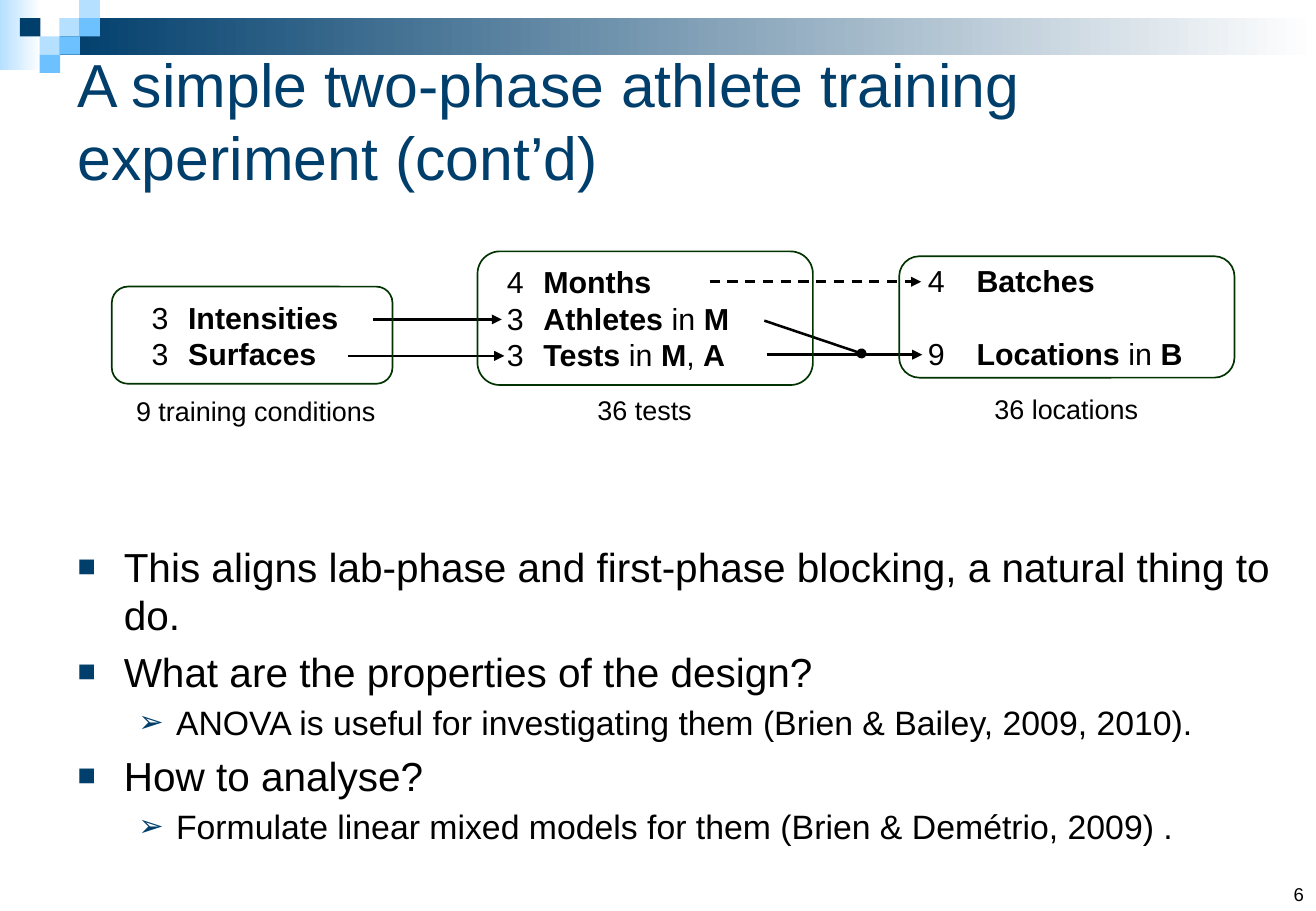
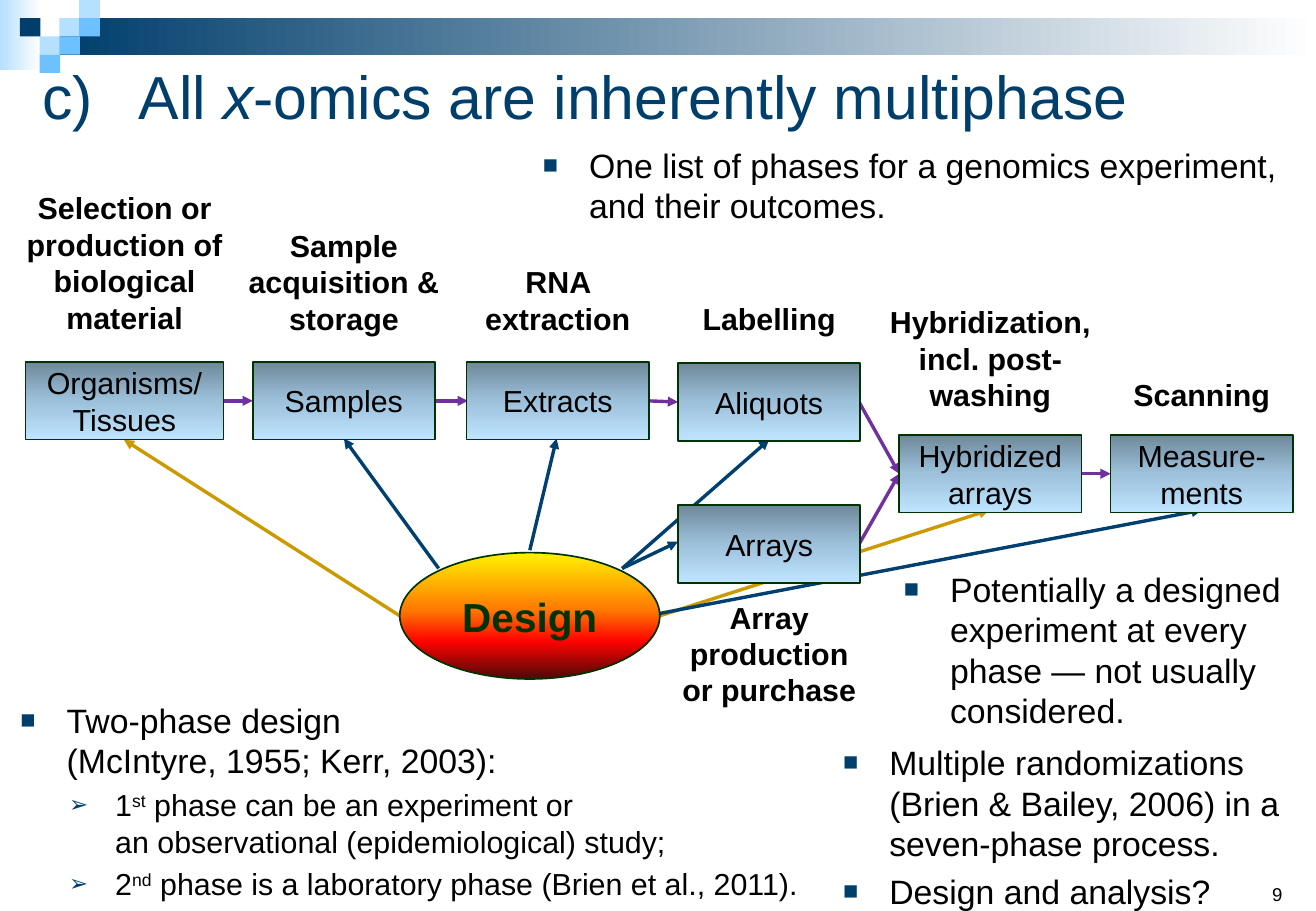
from lxml.etree import SubElement
from pptx import Presentation
from pptx.dml.color import RGBColor
from pptx.enum.dml import MSO_LINE
from pptx.enum.shapes import MSO_CONNECTOR, MSO_SHAPE
from pptx.enum.text import MSO_ANCHOR, MSO_AUTO_SIZE, PP_ALIGN
from pptx.oxml.ns import qn
from pptx.util import Inches, Pt

rgb = RGBColor.from_string
FONT = "Arial"
BLACK, NAVY, GREEN = "000000", "003E6C", "003300"
PALE, SKY, WHITE = "B6E0FF", "6DC1FF", "FFFFFF"
PURPLE, GOLD, BLUE = "7030A0", "CC9900", "004070"
LEFT, CENTER, RIGHT = PP_ALIGN.LEFT, PP_ALIGN.CENTER, PP_ALIGN.RIGHT
TOP, MIDDLE, BOTTOM = MSO_ANCHOR.TOP, MSO_ANCHOR.MIDDLE, MSO_ANCHOR.BOTTOM


def add_panel(page, kind, place, fill=None, angle=270, outline=None):
    """Draw a preset shape; fill is a colour or a list of gradient stops."""
    panel = page.shapes.add_shape(kind, *map(Inches, place))
    panel.shadow.inherit = False
    if fill is None:
        panel.fill.background()
    elif isinstance(fill, str):
        panel.fill.solid()
        panel.fill.fore_color.rgb = rgb(fill)
    else:
        panel.fill.gradient()
        panel.fill.gradient_angle = angle
        stops = next(panel.element.spPr.iter(qn("a:gsLst")))
        for stop in list(stops):
            stops.remove(stop)
        for position, colour in fill:
            stop = SubElement(stops, qn("a:gs"), pos=str(position * 1000))
            SubElement(stop, qn("a:srgbClr"), val=colour)
    if outline:
        panel.line.color.rgb = rgb(outline)
        panel.line.width = Pt(1)
    else:
        panel.line.fill.background()
    return panel


def write(shape, lines, size, colour=BLACK, align=LEFT, anchor=TOP,
          bold=False, emphasis="bold", margin=0, hanging=0):
    """Fill a shape with paragraphs; every second part between bars is emphasised."""
    frame = shape.text_frame
    frame.word_wrap = True
    frame.auto_size = MSO_AUTO_SIZE.NONE
    frame.vertical_anchor = anchor
    for index, line in enumerate(lines):
        para = frame.add_paragraph() if index else frame.paragraphs[0]
        para.alignment = align
        settings = para._p.get_or_add_pPr()
        settings.set("marL", str(Inches(margin)))
        settings.set("indent", str(-Inches(hanging)))
        for part_index, part in enumerate(line.split("|")):
            for row_index, row in enumerate(part.split("\v")):
                if row_index:
                    para.add_line_break()
                span = para.add_run()
                span.text = row
                span.font.name = FONT
                span.font.size = Pt(size)
                span.font.color.rgb = rgb(colour)
                span.font.bold = bold
                if part_index % 2 and emphasis == "superscript":
                    span.font._element.set("baseline", "30000")
                elif part_index % 2:
                    setattr(span.font, emphasis, True)
    return frame


deck = Presentation()
deck.slide_width, deck.slide_height = Inches(10.83), Inches(7.5)

# Title, header band and page number
band_parts = [
    ((0, 0, 0.34, 0.58), [(0, PALE), (100, WHITE)]),
    ((0.49, 0.15, 10.34, 0.3), [(0, NAVY), (100, WHITE)]),
]
squares = [(3, 1, PALE), (4, 0, PALE), (4, 1, SKY), (2, 2, PALE),
           (1, 1, NAVY), (3, 2, SKY), (2, 3, SKY)]
for column, row, colour in squares:
    band_parts.append(((0.163 * column, 0.15 * row, 0.17, 0.15), colour))

headings = [
    ("A simple two-phase athlete training experiment (cont’d)",
     (0.54, 0.44, 10.05, 1.09), 0, "6", RIGHT),
    ("c)\tAll |x|-omics are inherently multiphase",
     (0.25, 0.34, 10.57, 0.89), 0.79, "9", LEFT),
]
pages = []
for heading, place, indent, number, number_align in headings:
    page = deck.slides.add_slide(deck.slide_layouts[5])
    title = page.shapes.title
    title.left, title.top, title.width, title.height = map(Inches, place)
    write(title, [heading], 36, NAVY, anchor=MIDDLE, emphasis="italic",
          margin=indent, hanging=indent)
    for part_place, fill in band_parts:
        add_panel(page, MSO_SHAPE.RECTANGLE, part_place, fill, angle=0)
    box = page.shapes.add_textbox(*map(Inches, (10.37, 7, 0.46, 0.5)))
    write(box, [number], 11, align=number_align, anchor=BOTTOM)
    pages.append(page)
athlete_page, omics_page = pages

# Arrows, laid down before the boxes they join
arrow_groups = [
    (athlete_page, BLACK, 1.5, "triangle", None,
     [(3.07, 2.63, 4.13, 2.63), (2.86, 2.93, 4.15, 2.93), (6.31, 2.92, 7.59, 2.92)]),
    (athlete_page, BLACK, 1.5, "triangle", MSO_LINE.DASH, [(5.84, 2.32, 7.58, 2.32)]),
    (athlete_page, BLACK, 1.5, "oval", None, [(6.29, 2.64, 7.09, 2.91)]),
    (omics_page, GOLD, 2, "triangle", None,
     [(3.29, 5.07, 1.02, 3.62), (5.43, 5.07, 8.14, 4.2)]),
    (omics_page, BLUE, 2, "triangle", None,
     [(5.12, 4.68, 6.33, 3.62), (5.12, 4.68, 5.58, 4.46), (3.61, 4.68, 2.83, 3.61),
      (4.36, 4.53, 4.58, 3.61), (5.43, 5.05, 9.89, 4.2)]),
    (omics_page, PURPLE, 2, "triangle", None,
     [(1.83, 3.3, 2.08, 3.3), (3.58, 3.3, 3.85, 3.3), (5.33, 3.3, 5.58, 3.31),
      (7.07, 3.31, 7.4, 3.9), (7.07, 4.48, 7.4, 3.9), (8.89, 3.9, 9.14, 3.9)]),
]
for page, colour, width, head, dash, routes in arrow_groups:
    for route in routes:
        arrow = page.shapes.add_connector(MSO_CONNECTOR.STRAIGHT, *map(Inches, route))
        arrow.line.color.rgb = rgb(colour)
        arrow.line.width = Pt(width)
        if dash:
            arrow.line.dash_style = dash
        SubElement(arrow.line._get_or_add_ln(), qn("a:tailEnd"), type=head)
        SubElement(arrow.element.spPr, qn("a:effectLst"))

# Athlete experiment: the three sets of factors
factor_sets = [
    ((0.92, 2.36, 2.31, 0.8), 0.49, 0.3, ["3\t|Intensities", "3\t|Surfaces"],
     "9 training conditions", (0.88, 3.2, 2.45, 0.37)),
    ((3.93, 2.07, 2.76, 1.1), 0.39, 0.3,
     ["4\t|Months", "3\t|Athletes |in |M", "3\t|Tests |in |M|, |A"],
     "36 tests", (4.26, 3.19, 2.09, 0.37)),
    ((7.4, 2.11, 2.76, 1), 0.49, 0.4, ["4\t|Batches", "9\t|Locations| in |B"],
     "36 locations", (7.73, 3.18, 2.09, 0.37)),
]
for place, margin, hanging, factors, caption, caption_place in factor_sets:
    panel = add_panel(athlete_page, MSO_SHAPE.ROUNDED_RECTANGLE, place, outline=GREEN)
    frame = write(panel, factors, 18, anchor=MIDDLE, margin=margin, hanging=hanging)
    box = athlete_page.shapes.add_textbox(*map(Inches, caption_place))
    write(box, [caption], 16, align=CENTER)
# Locations line up with the third row of the tests
frame.paragraphs[1].space_before = Pt(21.5)

# Genomics experiment: the design and the phases with their outcomes
fire = [(0, "FFF200"), (45, "FF7A00"), (70, "FF0300"), (100, "4D0808")]
design = add_panel(omics_page, MSO_SHAPE.OVAL, (3.29, 4.55, 2.14, 1.04), fire,
                   outline=GREEN)
write(design, ["Design"], 24, GREEN, CENTER, MIDDLE, bold=True)

steel = [(0, "6E889A"), (50, "9DC1DB"), (100, "BFE4FF")]
phases = [
    (0.21, 2.98, 1.63, "Organisms/\vTissues", 1.51, 1.91,
     "Selection or production of biological material"),
    (2.08, 2.98, 1.5, "Samples", 1.82, 1.79, "Sample acquisition & storage"),
    (3.84, 2.98, 1.5, "Extracts", 2.12, 1.79, "RNA extraction"),
    (5.58, 2.99, 1.5, "Aliquots", 2.42, 1.79, "Labelling"),
    (5.58, 4.16, 1.5, "Arrays", 4.88, 1.79, "Array production or purchase"),
    (7.4, 3.58, 1.5, "Hybridized arrays", 2.45, 2.04,
     "Hybridization, incl. post-washing"),
    (9.14, 3.58, 1.5, "Measure-ments", 3.05, 1.68, "Scanning"),
]
for left, top, width, outcome, label_top, label_width, label in phases:
    panel = add_panel(omics_page, MSO_SHAPE.RECTANGLE, (left, top, width, 0.64), steel,
                      outline=GREEN)
    write(panel, [outcome], 18, align=CENTER, anchor=MIDDLE)
    label_left = left + (width - label_width) / 2
    box = omics_page.shapes.add_textbox(
        *map(Inches, (label_left, label_top, label_width, 1)))
    write(box, [label], 18, align=CENTER, bold=True)

# Bulleted text: the first character of a line is its bullet
bullet_blocks = [
    (athlete_page, (0.54, 4.41, 10.02, 3.09), 24, (20, 0.81, 0.31, 90), [
        "■This aligns lab-phase and first-phase blocking, a natural thing to do.",
        "■What are the properties of the design?",
        "➢ANOVA is useful for investigating them (Brien & Bailey, 2009, 2010).",
        "■How to analyse?",
        "➢Formulate linear mixed models for them (Brien & Demétrio, 2009) ."]),
    (omics_page, (4.37, 1.14, 6.47, 0.85), 20, None, [
        "■One list of phases for a genomics experiment, and their outcomes."]),
    (omics_page, (7.34, 4.63, 3.59, 1.37), 20, None, [
        "■Potentially a designed experiment at every phase — not usually considered."]),
    (omics_page, (0.07, 5.71, 7.91, 1.79), 20, (18, 0.78, 0.38, 75), [
        "■Two-phase design \v(McIntyre, 1955; Kerr, 2003):",
        "➢1|st| phase can be an experiment or \van observational (epidemiological) study;",
        "➢2|nd| phase is a laboratory phase (Brien et al., 2011)."]),
    (omics_page, (6.84, 6.06, 3.97, 1.44), 20, None, [
        "■Multiple randomizations (Brien & Bailey, 2006) in a seven-phase process.",
        "■Design and analysis?"]),
]
for page, place, main_size, sub_style, lines in bullet_blocks:
    box = page.shapes.add_textbox(*map(Inches, place))
    frame = write(box, [line[1:] for line in lines], main_size, emphasis="superscript")
    for para, line in zip(frame.paragraphs, lines):
        main_style = (main_size, 0.38, 0.38, 75)
        size, margin, hanging, percent = main_style if line[0] == "■" else sub_style
        for span in para.runs:
            span.font.size = Pt(size)
        para.space_before = Pt(size * 0.2)
        settings = para._p.get_or_add_pPr()
        settings.set("marL", str(Inches(margin)))
        settings.set("indent", str(-Inches(hanging)))
        bullet_colour = SubElement(settings, qn("a:buClr"))
        SubElement(bullet_colour, qn("a:srgbClr"), val=NAVY)
        SubElement(settings, qn("a:buSzPct"), val=str(percent * 1000))
        SubElement(settings, qn("a:buFont"), typeface=FONT)
        SubElement(settings, qn("a:buChar"), char=line[0])

deck.save("out.pptx")
